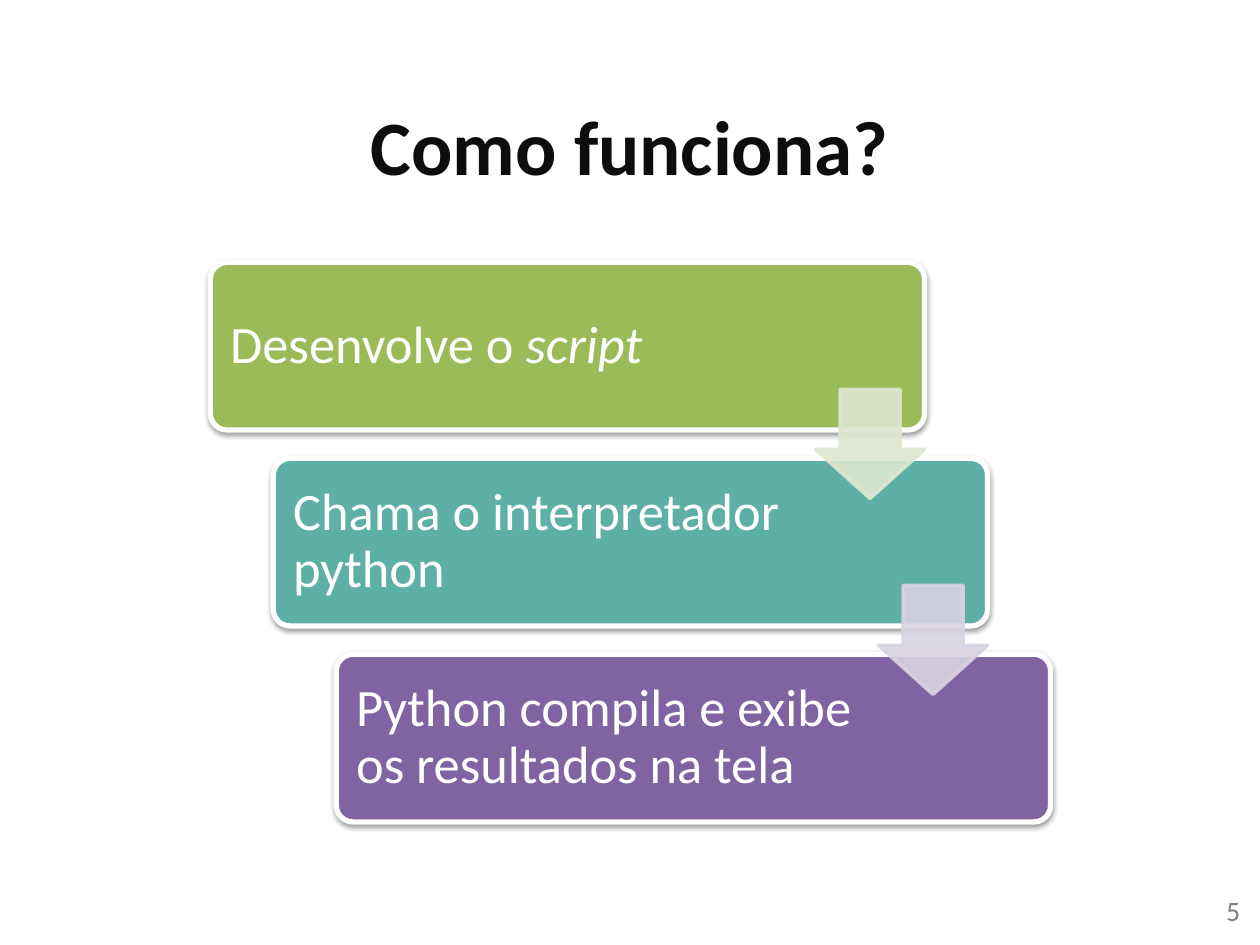
from lxml.etree import SubElement
from pptx import Presentation
from pptx.dml.color import RGBColor
from pptx.enum.shapes import MSO_SHAPE
from pptx.enum.text import MSO_ANCHOR, PP_ALIGN
from pptx.oxml.ns import qn
from pptx.util import Cm, Pt

WHITE = RGBColor(0xFF, 0xFF, 0xFF)
INK = RGBColor(0x0D, 0x0D, 0x0D)
GREY = RGBColor(0x80, 0x80, 0x80)
GREEN = RGBColor(0x9B, 0xBB, 0x59)
TEAL = RGBColor(0x5E, 0xAF, 0xA6)
PURPLE = RGBColor(0x80, 0x64, 0xA2)
PALE_GREEN = RGBColor(0xDE, 0xE7, 0xD1)
PALE_PURPLE = RGBColor(0xD8, 0xD3, 0xE0)

TITLE_FONT = {"name": "Calibri", "size": Pt(44), "bold": True}
STEP_FONT = {"name": "Calibri", "size": Pt(30)}
NUMBER_FONT = {"name": "Calibri", "size": Pt(16)}
STEP_INSETS = dict.fromkeys(
    ("margin_left", "margin_right", "margin_top", "margin_bottom"), Cm(0.3)
)

STEPS = [
    ([("Desenvolve o ", False), ("script", True)], GREEN),
    ([("Chama o interpretador python", False)], TEAL),
    ([("Python compila e exibe os resultados na tela", False)], PURPLE),
]
ARROW_COLOURS = [PALE_GREEN, PALE_PURPLE]


def apply_format(target, values):
    """Set each named attribute of the target."""
    for name, value in values.items():
        setattr(target, name, value)


def add_text(page, box, spans, font, colour, frame_format, para_format):
    """Place one paragraph of (text, italic) spans in a text box."""
    frame = page.shapes.add_textbox(*box).text_frame
    apply_format(frame, {"word_wrap": True, **frame_format})
    para = frame.paragraphs[0]
    apply_format(para, para_format)
    for text, italic in spans:
        span = para.add_run()
        span.text = text
        apply_format(span.font, {**font, "italic": italic})
        span.font.color.rgb = colour


def add_filled_shape(page, kind, box, fill, line, width, adjustments):
    """Draw a preset shape with a solid fill and outline."""
    shape = page.shapes.add_shape(kind, *box)
    for index, value in enumerate(adjustments):
        shape.adjustments[index] = value
    shape.fill.solid()
    shape.fill.fore_color.rgb = fill
    shape.line.color.rgb = line
    shape.line.width = width
    shape.shadow.inherit = False
    return shape


def add_drop_shadow(shape):
    """Give the shape a soft shadow straight below it."""
    effects = shape._element.spPr.find(qn("a:effectLst"))
    shadow = SubElement(
        effects, qn("a:outerShdw"), blurRad=str(Pt(3.1)), dist=str(Pt(1.6)),
        dir="5400000", rotWithShape="0",
    )
    colour = SubElement(shadow, qn("a:srgbClr"), val="000000")
    SubElement(colour, qn("a:alpha"), val="38000")


def add_title(page, left, top, width, height):
    """Place the centred slide title."""
    add_text(page, (left, top, width, height), [("Como funciona?", False)],
             TITLE_FONT, INK, {"vertical_anchor": MSO_ANCHOR.MIDDLE},
             {"alignment": PP_ALIGN.CENTER})


def add_step(page, left, top, width, height, spans, colour):
    """Place one rounded step card and its text."""
    card = add_filled_shape(page, MSO_SHAPE.ROUNDED_RECTANGLE,
                            (left, top, width, height), colour, WHITE, Pt(3), [0.1])
    add_drop_shadow(card)
    inset = Cm(0.1)
    text_box = (left + inset, top + inset, Cm(10.73), height - 2 * inset)
    add_text(page, text_box, spans, STEP_FONT, WHITE,
             {"vertical_anchor": MSO_ANCHOR.MIDDLE, **STEP_INSETS},
             {"line_spacing": 0.9})


def add_step_arrow(page, left, top, size, colour):
    """Place a translucent arrow leading to the next step."""
    arrow = add_filled_shape(page, MSO_SHAPE.DOWN_ARROW, (left, top, size, size),
                             colour, colour, Pt(2), [0.55, 0.45])
    for tone in arrow._element.spPr.iter(qn("a:srgbClr")):
        SubElement(tone, qn("a:alpha"), val="90000")


def add_staircase(page, left, top, width, height):
    """Lay the steps out diagonally, joined by arrows."""
    card_width, card_height, arrow_size = Cm(14.4), Cm(3.38), Cm(2.2)
    gaps = len(STEPS) - 1
    shift = (width - card_width) // gaps
    drop = (height - card_height) // gaps
    for index, (spans, colour) in enumerate(STEPS):
        add_step(page, left + index * shift, top + index * drop,
                 card_width, card_height, spans, colour)
    for index, colour in enumerate(ARROW_COLOURS):
        add_step_arrow(page, left + index * shift + card_width - arrow_size,
                       top + index * drop + Cm(2.56), arrow_size, colour)


def add_page_number(page, left, top, width, height):
    """Place the page number at the right edge."""
    add_text(page, (left, top, width, height), [("5", False)], NUMBER_FONT, GREY,
             {}, {"alignment": PP_ALIGN.RIGHT})


def main():
    """Build and save the slide."""
    deck = Presentation()
    apply_format(deck, {"slide_width": Cm(25.4), "slide_height": Cm(19.05)})
    page = deck.slides.add_slide(deck.slide_layouts[6])
    add_title(page, Cm(1.27), Cm(1.32), Cm(22.86), Cm(3.18))
    add_page_number(page, Cm(19.33), Cm(17.88), Cm(5.92), Cm(1.02))
    add_staircase(page, Cm(4.24), Cm(5.29), Cm(16.94), Cm(11.28))
    deck.save("out.pptx")


if __name__ == "__main__":
    main()
